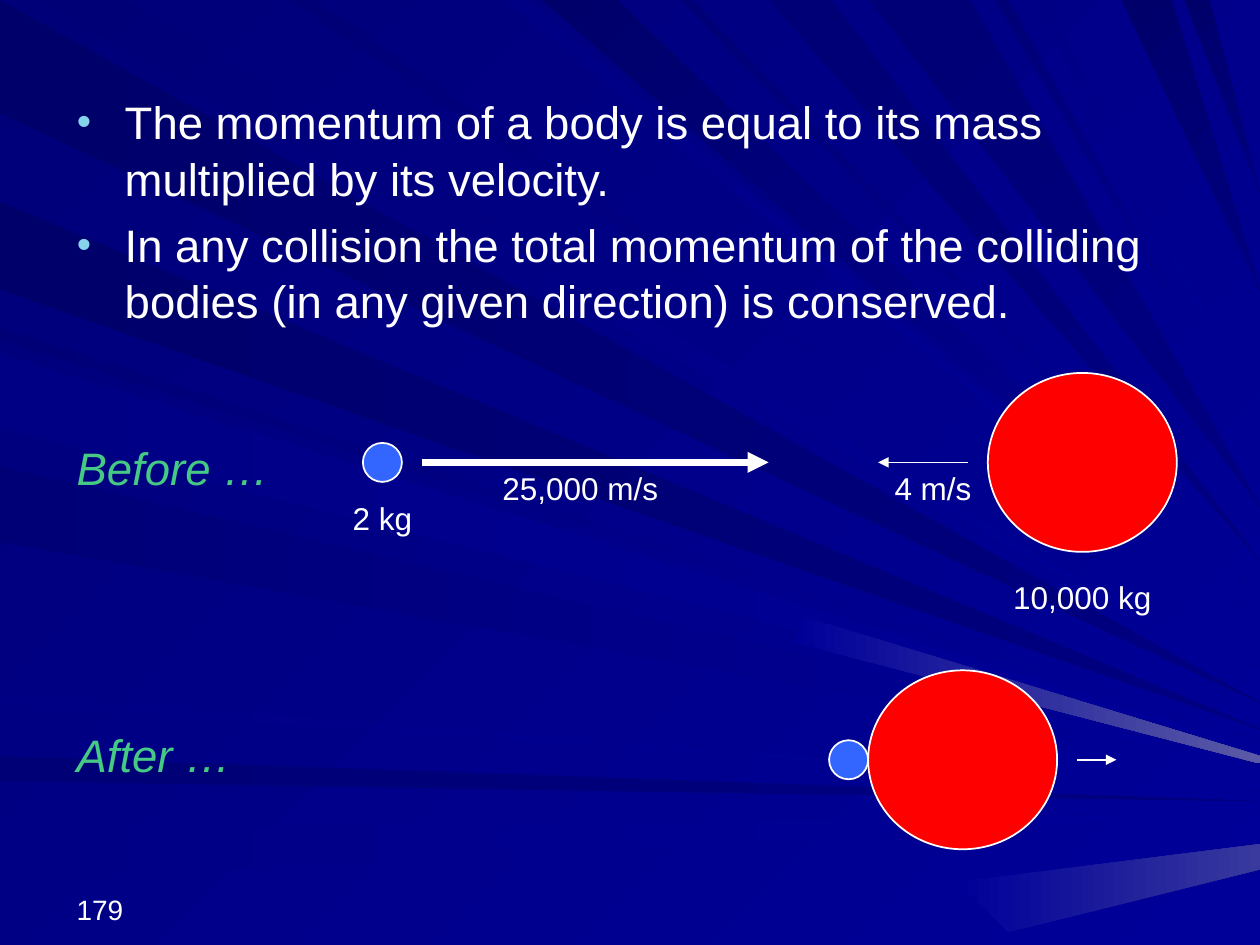
from lxml import etree
from pptx import Presentation
from pptx.dml.color import RGBColor
from pptx.enum.shapes import MSO_CONNECTOR, MSO_SHAPE
from pptx.enum.text import MSO_ANCHOR, MSO_AUTO_SIZE, PP_ALIGN
from pptx.oxml.ns import qn
from pptx.util import Inches, Pt

OVAL, STRAIGHT = MSO_SHAPE.OVAL, MSO_CONNECTOR.STRAIGHT
LEFT, CENTER = PP_ALIGN.LEFT, PP_ALIGN.CENTER
TOP, BOTTOM = MSO_ANCHOR.TOP, MSO_ANCHOR.BOTTOM
NO_FIT, GROW = MSO_AUTO_SIZE.NONE, MSO_AUTO_SIZE.SHAPE_TO_FIT_TEXT

FONT = "Arial"
WHITE, GREEN, BULLET_BLUE = "FFFFFF", "45C984", "86D1EC"
BLUE, RED = "3366FF", "FF0000"
DARK, DEEP, MIDDLE, NAVY, ROYAL = "00006B", "000076", "000085", "000080", "000099"
SLIDE_WIDTH, SLIDE_HEIGHT = 10, 7.5
MARGIN, BEFORE_Y, AFTER_Y = 0.51, 3.67, 6.03
SMALL, LARGE = (0.31, 0.31), (1.5, 1.42)

RULES = [
    "The momentum of a body is equal to its mass multiplied by its velocity.",
    "In any collision the total momentum of the colliding bodies (in any given direction) is conserved.",
]
BALLS = [
    (2.88, BEFORE_Y, SMALL, BLUE),
    (7.84, BEFORE_Y, LARGE, RED),
    (6.89, AFTER_Y, LARGE, RED),
    (6.89 - SMALL[0], AFTER_Y, SMALL, BLUE),
]
ARROWS = [
    (3.35, 6.1, BEFORE_Y, 4),
    (7.68, 6.97, BEFORE_Y, 1),
    (8.55, 8.86, AFTER_Y, 1),
]
LABELS = [
    ("2 kg", 2.64, 3.91, 0.79),
    ("25,000 m/s", 3.82, BEFORE_Y, 1.57),
    ("4 m/s", 6.97, BEFORE_Y, 0.87),
    ("10,000 kg", 7.84, 4.54, 1.5),
]
STAGES = [("Before …", 3.44), ("After …", 5.72)]

FOCUS_X, FOCUS_Y = 11.6, 6.4
LEFT_RAYS = [
    (0, 0.9, DARK, NAVY),
    (1.6, 0.7, DARK, NAVY),
    (2.6, 0.1, DEEP, ROYAL),
    (2.8, 0.6, MIDDLE, ROYAL),
    (3.7, 0.6, DEEP, ROYAL),
    (5.5, 0.1, MIDDLE, ROYAL),
    (6, 0.2, DEEP, NAVY),
    (6.6, 0.4, MIDDLE, ROYAL),
]
TOP_RAYS = [
    (0.3, 0.7, DEEP, ROYAL),
    (2.3, 0.2, DEEP, ROYAL),
    (4, 0.2, MIDDLE, ROYAL),
    (4.3, 0.6, DARK, ROYAL),
    (5.4, 0.1, DEEP, ROYAL),
    (6.1, 0.5, DEEP, NAVY),
    (6.9, 0.8, DEEP, NAVY),
    (7.9, 0.1, DEEP, ROYAL),
    (8.2, 0.1, MIDDLE, ROYAL),
    (8.9, 0.4, DARK, NAVY),
    (9.4, 0.2, DARK, NAVY),
]
GLINTS = [
    ("5A5AA6", [(6.3, 5.1), (6.4, 4.9), (10, 6), (10, 6.06)]),
    ("39399E", [(7.6, 7), (8, 7.4), (10, 6.9), (10, 6.7)]),
]


def color(value):
    return RGBColor.from_string(value)


def set_fill(fill, colors, angle=0):
    if len(colors) == 1:
        fill.solid()
        fill.fore_color.rgb = color(colors[0])
        return
    fill.gradient()
    fill.gradient_angle = -angle % 360
    for stop, value in zip(fill.gradient_stops, colors):
        stop.color.rgb = color(value)


def add_ray(shapes, points, colors, angle):
    corners = [(Inches(x), Inches(y)) for x, y in points]
    builder = shapes.build_freeform(*corners[0], scale=1.0)
    builder.add_line_segments(corners[1:], close=True)
    ray = builder.convert_to_shape()
    ray.shadow.inherit = False
    set_fill(ray.fill, colors, angle)
    ray.line.fill.background()


def ray_tip(x, y):
    share = (SLIDE_WIDTH - x) / (FOCUS_X - x)
    return SLIDE_WIDTH, y + share * (FOCUS_Y - y)


def add_rays(shapes):
    for start, width, *colors in LEFT_RAYS:
        tip = ray_tip(0, start + width / 2)
        add_ray(shapes, [(0, start), (0, start + width), tip], colors, 0)
    for start, width, *colors in TOP_RAYS:
        tip = ray_tip(start + width / 2, 0)
        add_ray(shapes, [(start, 0), (start + width, 0), tip], colors, 45)
    for value, points in GLINTS:
        add_ray(shapes, points, [ROYAL, value], 0)


def format_paragraph(paragraph, size, value=WHITE):
    paragraph.font.name = FONT
    paragraph.font.size = Pt(size)
    paragraph.font.color.rgb = color(value)


def add_text(shapes, text, box, size, value=WHITE, align=LEFT, anchor=TOP, fit=GROW):
    shape = shapes.add_textbox(*map(Inches, box))
    frame = shape.text_frame
    frame.word_wrap = True
    frame.auto_size = fit
    frame.vertical_anchor = anchor
    paragraph = frame.paragraphs[0]
    paragraph.text = text
    paragraph.alignment = align
    format_paragraph(paragraph, size, value)
    return paragraph


def add_ball(shapes, left, center_y, size, value):
    width, height = size
    ball = shapes.add_shape(OVAL, *map(Inches, (left, center_y - height / 2, width, height)))
    ball.shadow.inherit = False
    set_fill(ball.fill, [value])
    ball.line.color.rgb = color(WHITE)
    ball.line.width = Pt(1)


def add_arrow(shapes, start, end, y, width):
    arrow = shapes.add_connector(STRAIGHT, *map(Inches, (start, y, end, y)))
    arrow.line.color.rgb = color(WHITE)
    arrow.line.width = Pt(width)
    line = arrow.element.spPr.find(qn("a:ln"))
    etree.SubElement(line, qn("a:tailEnd"), type="triangle")
    etree.SubElement(arrow.element.spPr, qn("a:effectLst"))


def fill_body(body):
    body.left, body.top, body.width, body.height = map(Inches, (MARGIN, 0.68, 9, 6.03))
    frame = body.text_frame
    frame.auto_size = NO_FIT
    frame.text = "\n".join(RULES)
    for paragraph in frame.paragraphs:
        format_paragraph(paragraph, 26)
        paragraph.space_before = Pt(5.2)
        paragraph.line_spacing = 1.04
        properties = paragraph._p.get_or_add_pPr()
        properties.set("marL", str(Inches(0.38)))
        properties.set("indent", str(Inches(-0.38)))
        bullet_color = etree.Element(qn("a:buClr"))
        etree.SubElement(bullet_color, qn("a:srgbClr"), val=BULLET_BLUE)
        bullet_size = etree.Element(qn("a:buSzPct"), val="90000")
        bullet = etree.Element(qn("a:buChar"), char="•")
        default_run = properties.find(qn("a:defRPr"))
        for part in (bullet_color, bullet_size, bullet):
            default_run.addprevious(part)


def main():
    presentation = Presentation()
    presentation.slide_width = Inches(SLIDE_WIDTH)
    presentation.slide_height = Inches(SLIDE_HEIGHT)
    slide = presentation.slides.add_slide(presentation.slide_layouts[1])
    shapes = slide.shapes
    title, body = slide.placeholders
    title.element.getparent().remove(title.element)
    set_fill(slide.background.fill, ["000078", ROYAL], 45)

    rays = shapes.add_group_shape()
    add_rays(rays.shapes)
    fill_body(body)
    rays.element.addnext(body.element)

    for ball in BALLS:
        add_ball(shapes, *ball)
    for arrow in ARROWS:
        add_arrow(shapes, *arrow)
    for text, left, top, width in LABELS:
        add_text(shapes, text, (left, top, width, 0.4), 18, align=CENTER)
    for text, top in STAGES:
        add_text(shapes, text, (MARGIN, top, 1.89, 0.53), 26, GREEN).font.italic = True
    add_text(shapes, "179", (MARGIN, 6.9, 2.33, 0.5), 16, anchor=BOTTOM, fit=NO_FIT)
    presentation.save("out.pptx")


if __name__ == "__main__":
    main()
